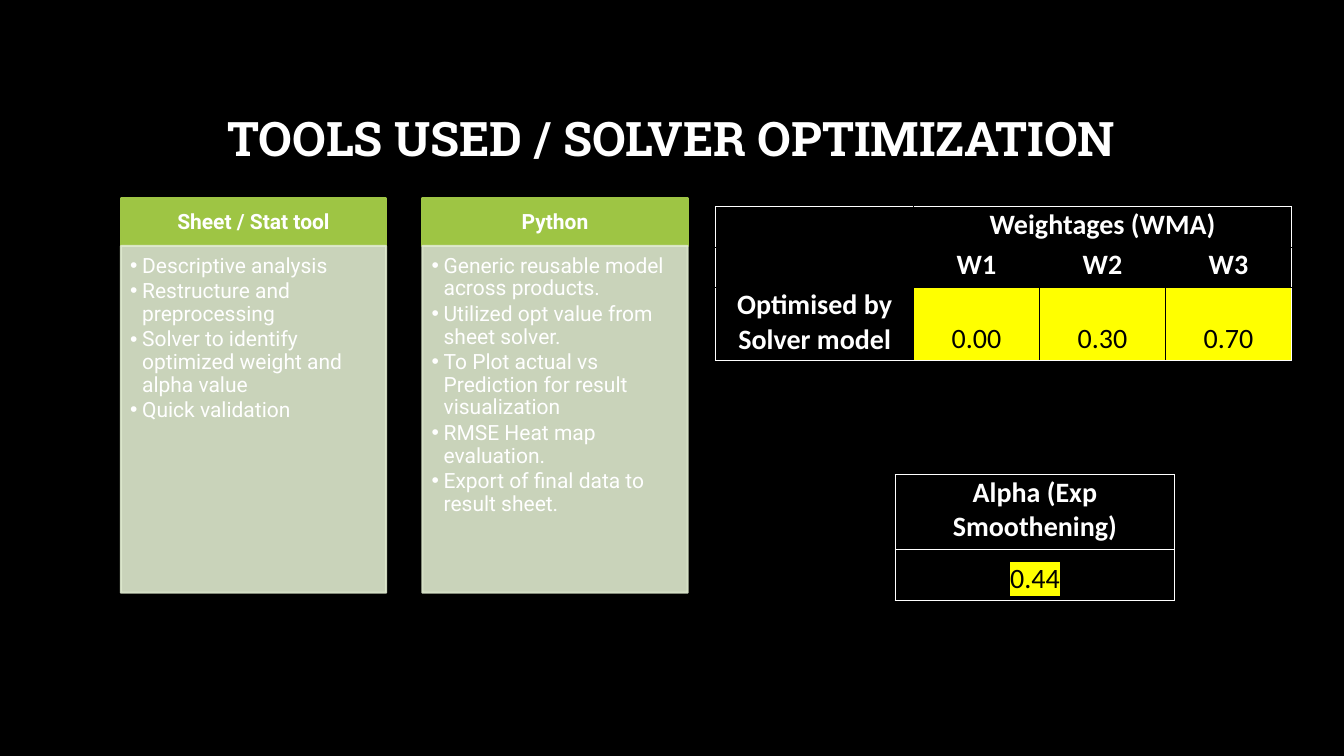
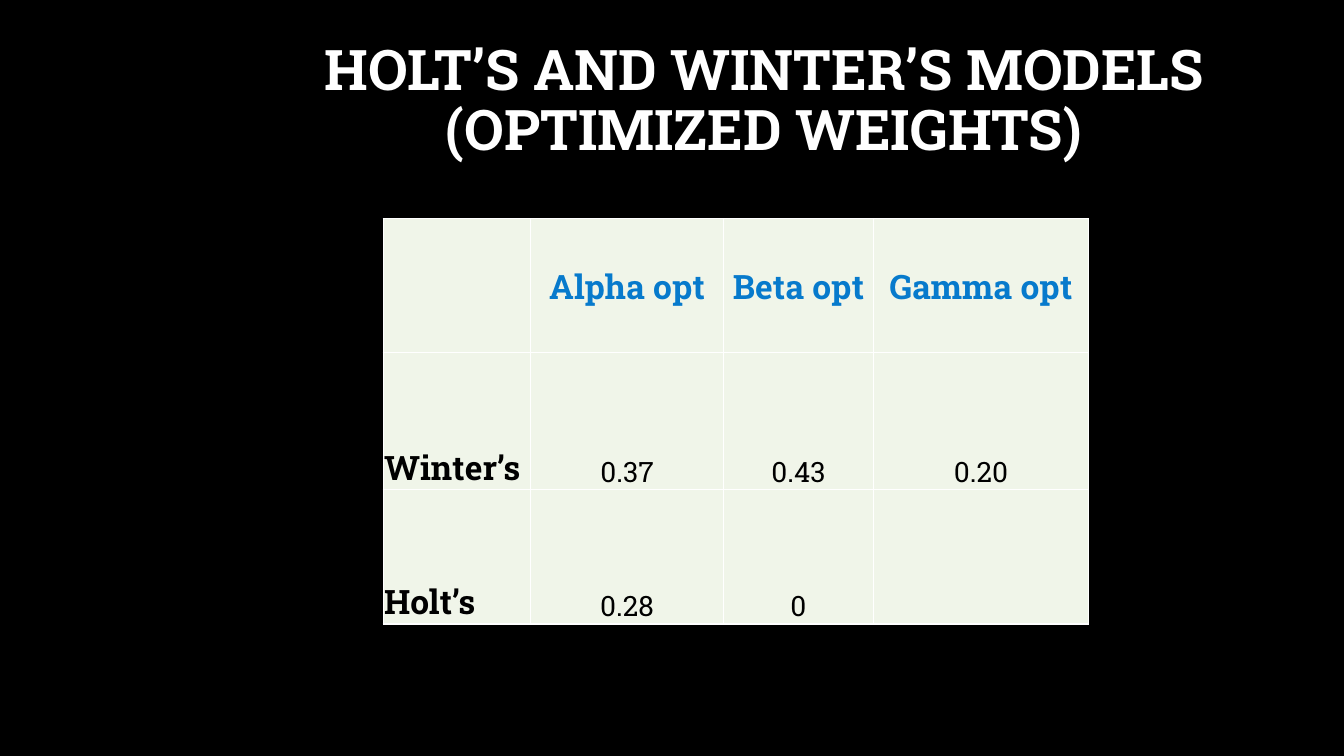
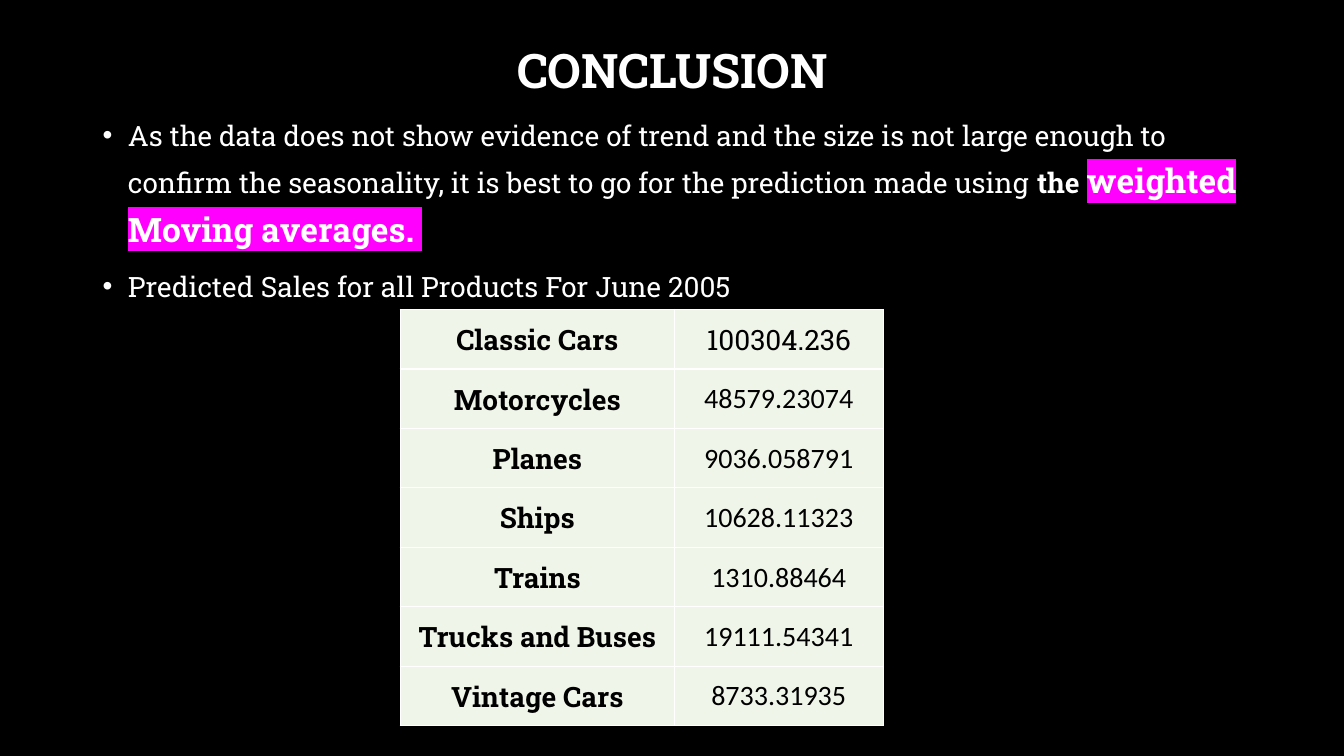
import dataclasses
import functools
import typing

import pptx
import pptx.dml.color
import pptx.enum.shapes
import pptx.enum.text
import pptx.oxml
import pptx.oxml.ns
import pptx.util

Inches = pptx.util.Inches
Pt = pptx.util.Pt
Align = pptx.enum.text.PP_ALIGN
Anchor = pptx.enum.text.MSO_ANCHOR

BLACK, WHITE = "000000", "FFFFFF"
GREEN, PALE_GREEN, TABLE_GREEN = "9EC544", "DFEACF", "F0F5E9"
BLUE, YELLOW, MAGENTA = "077ACC", "FFFF00", "FF00FF"
SLAB, SANS, NUMERIC = "Roboto Slab", "Roboto", "Calibri"


@dataclasses.dataclass(frozen=True)
class Box:
    left: float
    top: float
    width: float
    height: float

    def lengths(self) -> list[int]:
        return [Inches(value) for value in dataclasses.astuple(self)]


@dataclasses.dataclass(frozen=True)
class Style:
    size: float
    font: str
    colour: str = WHITE
    bold: bool = False
    highlight: str | None = None


@dataclasses.dataclass(frozen=True)
class Cell:
    text: str = ""
    style: Style = Style(18, NUMERIC)
    fill: str | None = None
    align: Align = Align.CENTER
    anchor: Anchor = Anchor.BOTTOM
    span: int = 1


@dataclasses.dataclass(frozen=True)
class Border:
    colour: str
    points: float


@dataclasses.dataclass(frozen=True)
class Tool:
    name: str
    uses: list[str]


WHITE_BORDER = Border(WHITE, 1)
BLACK_BORDER = Border(BLACK, 0.5)


def rgb(colour: str) -> pptx.dml.color.RGBColor:
    return pptx.dml.color.RGBColor.from_string(colour)


def xml(tag: str, content: str) -> typing.Any:
    """Make a drawing element from its tag and its attributes and children."""
    namespace = pptx.oxml.ns.nsdecls("a")
    return pptx.oxml.parse_xml(f"<a:{tag} {namespace}{content}</a:{tag}>")


def format_run(run: typing.Any, style: Style) -> None:
    run.font.size = Pt(style.size)
    run.font.name = style.font
    run.font.bold = style.bold
    run.font.color.rgb = rgb(style.colour)
    if style.highlight:
        properties = run._r.get_or_add_rPr()
        fill = properties.find(pptx.oxml.ns.qn("a:solidFill"))
        fill.addnext(xml("highlight", f'><a:srgbClr val="{style.highlight}"/>'))


def set_bullet(paragraph: typing.Any, indent: float) -> None:
    properties = paragraph._p.get_or_add_pPr()
    properties.set("marL", str(Inches(indent)))
    properties.set("indent", str(-Inches(indent)))
    properties.append(xml("buFont", ' typeface="Arial">'))
    properties.append(xml("buChar", ' char="•">'))


def set_margins(target: typing.Any, left: float, top: float, right: float, bottom: float) -> None:
    target.margin_left, target.margin_top = Inches(left), Inches(top)
    target.margin_right, target.margin_bottom = Inches(right), Inches(bottom)


def add_slide(presentation: typing.Any, title: str, title_box: Box, title_size: float = 34) -> typing.Any:
    """Add a black slide with its title."""
    slide = presentation.slides.add_slide(presentation.slide_layouts[6])
    slide.background.fill.solid()
    slide.background.fill.fore_color.rgb = rgb(BLACK)
    text_frame = slide.shapes.add_textbox(*title_box.lengths()).text_frame
    text_frame.word_wrap = True
    text_frame.vertical_anchor = Anchor.MIDDLE
    text_frame.text = title
    paragraph = text_frame.paragraphs[0]
    paragraph.alignment = Align.CENTER
    paragraph.line_spacing = 0.9
    format_run(paragraph.runs[0], Style(title_size, SLAB, bold=True))
    return slide


def add_panel(slide: typing.Any, box: Box, colour: str, text: str, style: Style) -> typing.Any:
    """Add a filled rectangle with one paragraph for each line of text."""
    shape = slide.shapes.add_shape(pptx.enum.shapes.MSO_SHAPE.RECTANGLE, *box.lengths())
    shape.shadow.inherit = False
    shape.fill.solid()
    shape.fill.fore_color.rgb = rgb(colour)
    shape.line.color.rgb = rgb(colour)
    shape.line.width = Pt(1.5)
    shape.text_frame.word_wrap = True
    shape.text_frame.text = text
    for paragraph in shape.text_frame.paragraphs:
        paragraph.line_spacing = 0.9
        format_run(paragraph.runs[0], style)
    return shape


def add_tool(slide: typing.Any, tool: Tool, left: float) -> None:
    top, width, header_height, body_height = 1.97, 2.63, 0.47, 3.44
    header = add_panel(slide, Box(left, top, width, header_height), GREEN, tool.name, Style(15, SANS, bold=True))
    header.text_frame.vertical_anchor = Anchor.MIDDLE
    header.text_frame.paragraphs[0].alignment = Align.CENTER
    set_margins(header.text_frame, 0.12, 0.07, 0.12, 0.07)

    body_box = Box(left, top + header_height, width, body_height)
    body = add_panel(slide, body_box, PALE_GREEN, "\n".join(tool.uses), Style(15, SANS))
    for colour in body.element.spPr.iter(pptx.oxml.ns.qn("a:srgbClr")):
        colour.append(xml("alpha", ' val="90000">'))
    body.text_frame.vertical_anchor = Anchor.TOP
    set_margins(body.text_frame, 0.09, 0.09, 0.12, 0.13)
    for paragraph in body.text_frame.paragraphs:
        set_bullet(paragraph, 0.12)
        paragraph.alignment = Align.LEFT
        paragraph.space_after = Pt(2)


def set_borders(cell: typing.Any, borders: dict[str, Border]) -> None:
    properties = cell._tc.get_or_add_tcPr()
    for position, side in enumerate("LRTB"):
        border = borders[side]
        properties.insert(position, xml(
            f"ln{side}",
            f' w="{Pt(border.points)}"><a:solidFill><a:srgbClr val="{border.colour}"/></a:solidFill>',
        ))


def fill_cell(target: typing.Any, cell: Cell, bottom_margin: float) -> None:
    set_margins(target, 0.01, 0.01, 0.01, bottom_margin)
    target.vertical_anchor = cell.anchor
    if cell.fill:
        target.fill.solid()
        target.fill.fore_color.rgb = rgb(cell.fill)
    else:
        target.fill.background()
    if cell.text:
        target.text_frame.text = cell.text
        paragraph = target.text_frame.paragraphs[0]
        paragraph.alignment = cell.align
        format_run(paragraph.runs[0], cell.style)


def add_table(
    slide: typing.Any,
    left: float,
    top: float,
    widths: list[float],
    heights: list[float],
    rows: list[list[Cell]],
    inner: Border = WHITE_BORDER,
    bottom_margin: float = 0,
) -> None:
    """Add a table with a white outer frame and the given inner borders."""
    box = Box(left, top, sum(widths), sum(heights))
    table = slide.shapes.add_table(len(heights), len(widths), *box.lengths()).table
    table.first_row = table.horz_banding = False
    for column, width in zip(table.columns, widths):
        column.width = Inches(width)
    for row, height in zip(table.rows, heights):
        row.height = Inches(height)
    last_row, last_column = len(heights) - 1, len(widths) - 1
    for row_index, row_cells in enumerate(rows):
        column_index = 0
        for cell in row_cells:
            end_index = column_index + cell.span - 1
            target = table.cell(row_index, column_index)
            if cell.span > 1:
                target.merge(table.cell(row_index, end_index))
            fill_cell(target, cell, bottom_margin)
            outer_sides = {
                "L": column_index == 0,
                "R": end_index == last_column,
                "T": row_index == 0,
                "B": row_index == last_row,
            }
            borders = {side: WHITE_BORDER if outer else inner for side, outer in outer_sides.items()}
            for index in range(column_index, end_index + 1):
                set_borders(table.cell(row_index, index), borders)
            column_index = end_index + 1


def add_tools_slide(presentation: typing.Any) -> None:
    slide = add_slide(presentation, "TOOLS USED / SOLVER OPTIMIZATION", Box(1, 0.67, 11.32, 1.45))
    tools = [
        Tool("Sheet / Stat tool", [
            "Descriptive analysis",
            "Restructure and preprocessing",
            "Solver to identify optimized weight and alpha value",
            "Quick validation",
        ]),
        Tool("Python", [
            "Generic reusable model across products.",
            "Utilized opt value from sheet solver.",
            "To Plot actual vs Prediction for result visualization",
            "RMSE Heat map evaluation.",
            "Export of final data to result sheet.",
        ]),
    ]
    for index, tool in enumerate(tools):
        add_tool(slide, tool, 1.2 + 2.99 * index)

    heading = functools.partial(Cell, style=Style(20, NUMERIC, bold=True))
    weight = functools.partial(Cell, style=Style(20, NUMERIC, BLACK), fill=YELLOW)
    weight_rows = [
        [Cell(), heading("Weightages (WMA)", span=3)],
        [Cell(), *map(heading, ["W1", "W2", "W3"])],
        [heading("Optimised by Solver model"), *map(weight, ["0.00", "0.30", "0.70"])],
    ]
    add_table(slide, 7.1, 2.05, [1.96, 1.25, 1.25, 1.25], [0.4, 0.4, 0.73], weight_rows, BLACK_BORDER, 0.05)

    alpha_rows = [
        [heading("Alpha (Exp Smoothening)")],
        [Cell("0.44", Style(20, NUMERIC, BLACK, highlight=YELLOW))],
    ]
    add_table(slide, 8.88, 4.71, [2.77], [0.74, 0.51], alpha_rows, bottom_margin=0.05)


def add_models_slide(presentation: typing.Any) -> None:
    title = "HOLT’S AND WINTER’S MODELS (OPTIMIZED WEIGHTS)"
    slide = add_slide(presentation, title, Box(1.83, 0.29, 11.5, 1.45), 40)
    heading = functools.partial(
        Cell, style=Style(24, SLAB, BLUE, bold=True), fill=TABLE_GREEN, anchor=Anchor.MIDDLE)
    model = functools.partial(Cell, style=Style(24, SLAB, BLACK, bold=True), fill=TABLE_GREEN, align=Align.LEFT)
    value = functools.partial(Cell, style=Style(20, SLAB, BLACK), fill=TABLE_GREEN)
    rows = [
        list(map(heading, ["", "Alpha opt", "Beta opt", "Gamma opt"])),
        [model("Winter’s"), *map(value, ["0.37", "0.43", "0.20"])],
        [model("Holt’s"), *map(value, ["0.28", "0", ""])],
    ]
    add_table(slide, 3.8, 2.17, [1.46, 1.92, 1.48, 2.14], [1.33, 1.36, 1.33], rows)


def add_conclusion_slide(presentation: typing.Any) -> None:
    slide = add_slide(presentation, "CONCLUSION", Box(0.92, 0, 11.5, 1.45))
    plain = Style(20, SLAB)
    points = [
        [
            ("As the data does not show evidence of trend and the size is not large enough to confirm "
             "the seasonality, it is best to go for the prediction made using ", plain),
            ("the ", Style(20, SLAB, bold=True)),
            ("weighted Moving averages. ", Style(24, SLAB, bold=True, highlight=MAGENTA)),
        ],
        [("Predicted Sales for all Products For June 2005", plain)],
    ]
    text_frame = slide.shapes.add_textbox(*Box(0.92, 1.06, 11.5, 4.76).lengths()).text_frame
    text_frame.word_wrap = True
    for index, point in enumerate(points):
        paragraph = text_frame.add_paragraph() if index else text_frame.paragraphs[0]
        set_bullet(paragraph, 0.25)
        paragraph.line_spacing = 1.2
        paragraph.space_before = Pt(10 if index else 0)
        for text, style in point:
            run = paragraph.add_run()
            run.text = text
            format_run(run, style)

    sales = {
        "Classic Cars": "100304.236",
        "Motorcycles": "48579.23074",
        "Planes": "9036.058791",
        "Ships": "10628.11323",
        "Trains": "1310.88464",
        "Trucks and Buses": "19111.54341",
        "Vintage Cars": "8733.31935",
    }
    sales_cell = functools.partial(Cell, fill=TABLE_GREEN, anchor=Anchor.MIDDLE)
    rows = [
        [
            sales_cell(product, Style(20, SLAB, BLACK, bold=True)),
            sales_cell(amount, Style(20, NUMERIC if index else SLAB, BLACK)),
        ]
        for index, (product, amount) in enumerate(sales.items())
    ]
    add_table(slide, 3.97, 3.07, [2.72, 2.07], [0.59] * len(rows), rows)


def main() -> None:
    presentation = pptx.Presentation()
    presentation.slide_width = Inches(13.33)
    presentation.slide_height = Inches(7.5)
    add_tools_slide(presentation)
    add_models_slide(presentation)
    add_conclusion_slide(presentation)
    presentation.save("out.pptx")


if __name__ == "__main__":
    main()
